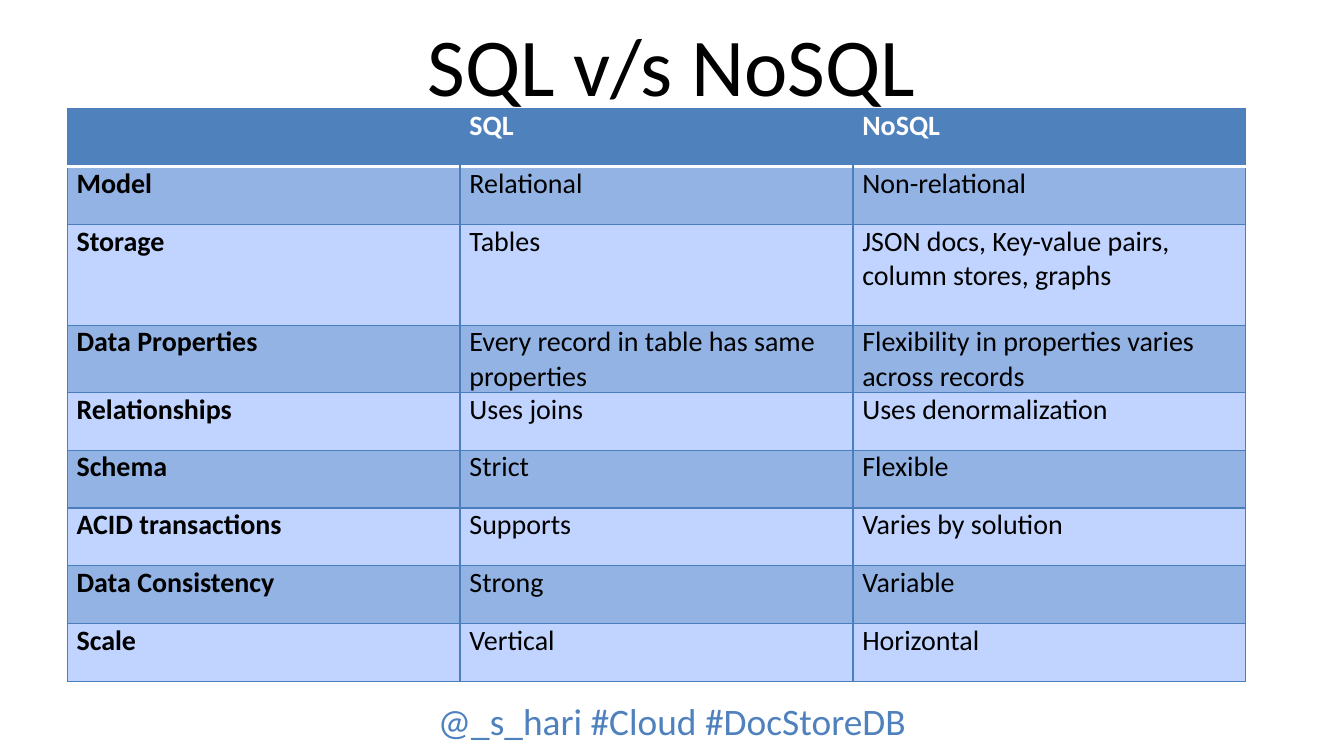
"""Build a slide with a table comparing SQL and NoSQL databases."""
import pptx
import pptx.dml.color
import pptx.enum.text
import pptx.oxml
import pptx.oxml.ns
import pptx.util
from pptx.util import Inches

rgb = pptx.dml.color.RGBColor.from_string


def write(tf, text, size, color, bold=False, align=None):
    p = tf.paragraphs[0]
    p.alignment = align
    r = p.add_run()
    r.text = text
    r.font.name = "Calibri"
    r.font.size = pptx.util.Pt(size)
    r.font.bold = bold
    r.font.color.rgb = rgb(color)


def add_border(cell, side, color, width):
    fill = f'<a:solidFill><a:srgbClr val="{color}"/></a:solidFill>' if color else "<a:noFill/>"
    ns = pptx.oxml.ns.nsdecls("a")
    ln = f'<a:ln{side} {ns} w="{int(width * 12700)}">{fill}</a:ln{side}>'
    cell._tc.get_or_add_tcPr().append(pptx.oxml.parse_xml(ln))


BLUE, LINE, WHITE, BLACK = "4F81BD", "4B7EBC", "FFFFFF", "000000"
BANDS = ["C0D4FF", "93B3E5"]
CENTER = pptx.enum.text.PP_ALIGN.CENTER
MIDDLE = pptx.enum.text.MSO_ANCHOR.MIDDLE

rows = [
    ("", "SQL", "NoSQL"),
    ("Model", "Relational", "Non-relational"),
    ("Storage", "Tables", "JSON docs, Key-value pairs, column stores, graphs"),
    ("Data Properties", "Every record in table has same properties",
     "Flexibility in properties varies across records"),
    ("Relationships", "Uses joins", "Uses denormalization"),
    ("Schema", "Strict", "Flexible"),
    ("ACID transactions", "Supports", "Varies by solution"),
    ("Data Consistency", "Strong", "Variable"),
    ("Scale", "Vertical", "Horizontal"),
]
tall_rows = {2: 0.75, 3: 0.5}

prs = pptx.Presentation()
prs.slide_width = Inches(10)
prs.slide_height = prs.slide_width * 9 // 16
s = prs.slides.add_slide(prs.slide_layouts[5])

title = s.shapes.title
title.left, title.top, title.width, title.height = Inches(0.5), Inches(0), Inches(9), Inches(0.94)
title.text_frame.vertical_anchor = MIDDLE
write(title.text_frame, "SQL v/s NoSQL", 44, BLACK, align=CENTER)

footer = s.shapes.add_textbox(Inches(0.5), Inches(5.21), Inches(9), Inches(0.3))
footer.text_frame.word_wrap = True
footer.text_frame.vertical_anchor = MIDDLE
write(footer.text_frame, "@_s_hari #Cloud #DocStoreDB", 20, BLUE, align=CENTER)

table = s.shapes.add_table(len(rows), 3, Inches(0.5), Inches(0.81), Inches(8.77), Inches(4.25)).table
for col in table.columns:
    col.width = Inches(8.77 / 3)

for i, row in enumerate(rows):
    table.rows[i].height = Inches(tall_rows.get(i, 0.43))
    header = i == 0
    for j, text in enumerate(row):
        cell = table.cell(i, j)
        cell.margin_left = cell.margin_right = Inches(0.07)
        cell.margin_top = cell.margin_bottom = 0
        add_border(cell, "L", None if header and j > 0 else LINE, 0.75)
        add_border(cell, "R", None if header and j < 2 else LINE, 0.75)
        add_border(cell, "T", *((WHITE, 2) if i == 1 else (LINE, 0.75)))
        add_border(cell, "B", *((WHITE, 2) if header else (LINE, 0.75)))
        cell.fill.solid()
        cell.fill.fore_color.rgb = rgb(BLUE if header else BANDS[i % 2])
        if text:
            write(cell.text_frame, text, 15, WHITE if header else BLACK, bold=header or j == 0)

prs.save("out.pptx")
